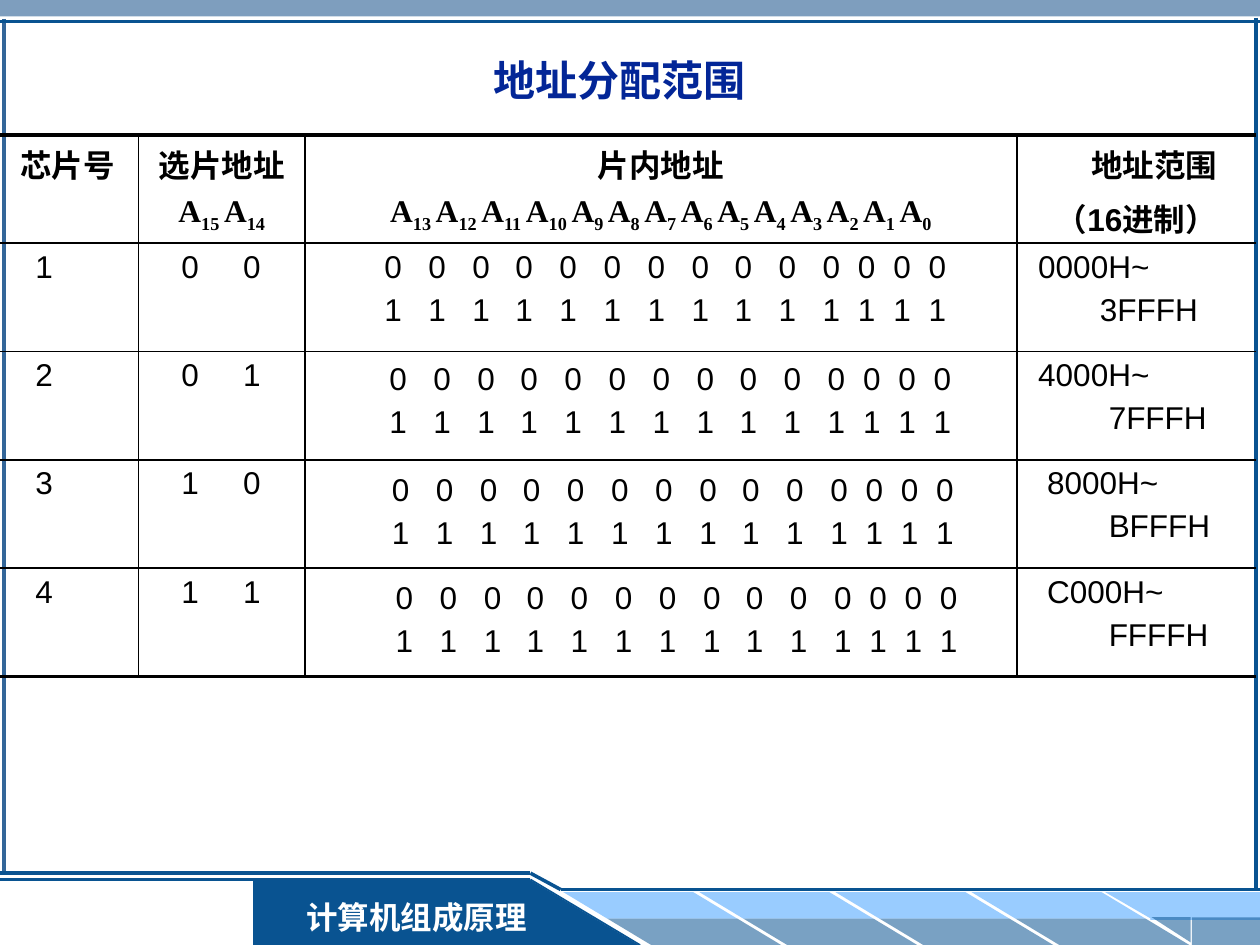
from lxml import etree
from pptx import Presentation
from pptx.dml.color import RGBColor
from pptx.enum.shapes import MSO_CONNECTOR, MSO_SHAPE
from pptx.enum.text import MSO_ANCHOR, PP_ALIGN
from pptx.oxml.ns import qn
from pptx.util import Inches, Pt

RECT, SLANT, CORNER = MSO_SHAPE.RECTANGLE, MSO_SHAPE.PARALLELOGRAM, MSO_SHAPE.RIGHT_TRIANGLE
STRAIGHT = MSO_CONNECTOR.STRAIGHT
LEFT, CENTER = PP_ALIGN.LEFT, PP_ALIGN.CENTER
MIDDLE = MSO_ANCHOR.MIDDLE
NAVY, STEEL, SKY, BLACK, WHITE = "095391", "336699", "99CCFF", "000000", "FFFFFF"
SERIF, SANS = "Times New Roman", "Arial"
SPACE = 0.07
COLUMN_WIDTHS = (1.13, 1.32, 5.65, 1.9)
ROW_HEIGHT = 0.86
SELECT_TABS = (0.49,)
BIT_TABS = [round(0.348 * min(i, 10) + 0.28 * max(i - 10, 0), 2) for i in range(1, 14)]
CHIPS = (
    ("1", "00", ("0000H~", 1), ("3FFFH", 8), 0.63, 0),
    ("2", "01", ("4000H~", 1), ("7FFFH", 9), 0.67, 0.03),
    ("3", "10", ("8000H~", 2), ("BFFFH", 9), 0.69, 0.05),
    ("4", "11", ("C000H~", 2), ("FFFFH", 9), 0.72, 0.05),
)


def color(hex_string):
    """Return the colour for a hex string."""
    return RGBColor.from_string(hex_string)


def add_block(slide, preset, left, top, width, height, fill, alpha=100, flips=()):
    """Add a filled, unlined shape, optionally translucent or mirrored."""
    block = slide.shapes.add_shape(preset, Inches(left), Inches(top), Inches(width), Inches(height))
    block.shadow.inherit = False
    block.line.fill.background()
    block.fill.solid()
    block.fill.fore_color.rgb = color(fill)
    if alpha < 100:
        tint = block.element.spPr.find(qn("a:solidFill"))[0]
        etree.SubElement(tint, qn("a:alpha"), val=str(alpha * 1000))
    for flip in flips:
        block.element.spPr.find(qn("a:xfrm")).set(flip, "1")
    return block


def add_rule(slide, x1, y1, x2, y2, hex_color, weight):
    """Add a straight line without a shadow."""
    rule = slide.shapes.add_connector(STRAIGHT, Inches(x1), Inches(y1), Inches(x2), Inches(y2))
    rule.line.color.rgb = color(hex_color)
    rule.line.width = Pt(weight)
    etree.SubElement(rule.element.spPr, qn("a:effectLst"))


def add_run(paragraph, text, size, font, hex_color=BLACK, bold=False, baseline=0):
    """Add one formatted run to a paragraph."""
    run = paragraph.add_run()
    run.text = text
    run.font.size, run.font.name, run.font.bold = Pt(size), font, bold
    run.font.color.rgb = color(hex_color)
    if baseline:
        run.font._element.set("baseline", str(baseline * 1000))


def add_label(slide, left, top, width, height, text, size, font, hex_color):
    """Add a centred bold text box."""
    box = slide.shapes.add_textbox(Inches(left), Inches(top), Inches(width), Inches(height))
    frame = box.text_frame
    frame.word_wrap, frame.vertical_anchor = True, MIDDLE
    frame.paragraphs[0].alignment = CENTER
    add_run(frame.paragraphs[0], text, size, font, hex_color, True)


def add_frame(slide, left, top, width, height):
    """Draw the top band and the border lines of the page."""
    right = left + width
    add_block(slide, RECT, left, top, width, 0.13, STEEL, 63)
    add_rule(slide, left + 0.03, top + 0.15, left + 0.03, top + height - 0.57, STEEL, 2)
    add_rule(slide, left, top + 0.17, right, top + 0.17, NAVY, 2)
    add_rule(slide, right - 0.03, top + 0.14, right - 0.03, top + height - 0.43, NAVY, 2)


def add_footer(slide, left, top, width, height):
    """Draw the course tab and the slanted tiles beside it."""
    right, bottom = left + width, top + height
    tab_top, tile_top, tile_middle = top + 0.05, top + 0.15, top + 0.36
    add_block(slide, RECT, left + 2.01, tab_top, 2.2, 0.52, NAVY)
    add_block(slide, CORNER, left + 4.2, tab_top, 0.87, 0.52, NAVY)
    for i in range(4):
        x = left + 4.47 + 1.08 * i
        for tile_left, y, fill, alpha in ((x, tile_top, SKY, 100), (x + 0.35, tile_middle, NAVY, 54)):
            tile = add_block(slide, SLANT, tile_left, y, 1.38, 0.21, fill, alpha, ["flipH"])
            tile.adjustments[0] = 1.66
    both = ("flipH", "flipV")
    add_block(slide, RECT, right - 0.87, tile_top, 0.87, 0.22, SKY)
    add_block(slide, CORNER, right - 1.23, tile_top, 0.38, 0.22, SKY, 100, both)
    add_block(slide, RECT, right - 0.54, top + 0.35, 0.54, 0.22, NAVY, 54)
    add_block(slide, CORNER, right - 0.86, top + 0.35, 0.31, 0.2, NAVY, 54, both)
    add_rule(slide, left + 5.08, bottom, left + 4.21, tab_top, NAVY, 1)
    add_rule(slide, left + 4.21, tab_top, left, tab_top, NAVY, 1.5)
    add_rule(slide, left, top, left + 4.21, top, NAVY, 2)
    add_rule(slide, left + 4.21, top, left + 4.45, top + 0.13, NAVY, 2)
    add_rule(slide, left + 4.45, top + 0.13, right, top + 0.13, NAVY, 2)
    add_label(slide, left + 2.28, tile_top, 2.05, 0.4, "计算机组成原理", 18, SERIF, WHITE)


def set_borders(cell, weights):
    """Give a cell black borders of the stated weights, zero meaning none."""
    properties = cell._tc.get_or_add_tcPr()
    for i, (side, weight) in enumerate(zip(("lnL", "lnR", "lnT", "lnB"), weights)):
        border = etree.Element(qn("a:" + side), w=str(Pt(weight)))
        if weight:
            fill = etree.SubElement(border, qn("a:solidFill"))
            etree.SubElement(fill, qn("a:srgbClr"), val=BLACK)
        else:
            etree.SubElement(border, qn("a:noFill"))
        properties.insert(i, border)


def fill_cell(cell, lines, align=LEFT, font=SANS, bold=False, margin=0.1, drop=0, tabs=()):
    """Write lines of (runs, indent) into a cell, each run being (text, baseline)."""
    cell.margin_left, cell.margin_right = Inches(margin), Inches(0.1)
    cell.margin_top, cell.margin_bottom = Inches(0.05 + drop), 0
    for i, (runs, indent) in enumerate(lines):
        paragraph = cell.text_frame.paragraphs[0] if i == 0 else cell.text_frame.add_paragraph()
        paragraph.alignment, paragraph.space_before = align, Pt(4.5)
        properties = paragraph._p.get_or_add_pPr()
        properties.set("marL", str(Inches(indent)))
        if tabs:
            stops = etree.SubElement(properties, qn("a:tabLst"))
            for stop in tabs:
                etree.SubElement(stops, qn("a:tab"), pos=str(Inches(stop)), algn="l")
        for text, baseline in runs:
            add_run(paragraph, text, 18, font, bold=bold, baseline=baseline)


def plain(text, indent=0):
    """Return a line made of one run."""
    return [(text, 0)], indent


def address_lines(high, low):
    """Return the subscripted names of address lines from high down to low."""
    runs = []
    for number in range(high, low - 1, -1):
        runs += [("A", 0), (f"{number} " if number > low else str(number), -25)]
    return runs, 0


def add_address_table(slide, left, top):
    """Build the table of chips, address bits and address ranges."""
    rows, columns = len(CHIPS) + 1, len(COLUMN_WIDTHS)
    table_shape = slide.shapes.add_table(rows, columns, Inches(left), Inches(top),
                                         Inches(sum(COLUMN_WIDTHS)), Inches(rows * ROW_HEIGHT))
    table = table_shape.table
    table.first_row = table.horz_banding = False
    for column, width in zip(table.columns, COLUMN_WIDTHS):
        column.width = Inches(width)
    for r, row in enumerate(table.rows):
        row.height = Inches(ROW_HEIGHT)
        for c, cell in enumerate(row.cells):
            cell.fill.background()
            set_borders(cell, (int(c > 0), int(c < columns - 1),
                               2.25 if r == 0 else 1, 2.25 if r == rows - 1 else 1))
    headings = (
        ([plain("芯片号")], SANS),
        ([plain("选片地址"), address_lines(15, 14)], SERIF),
        ([plain("片内地址"), address_lines(13, 0)], SERIF),
        ([plain("地址范围", 4 * SPACE), plain("（16进制）")], SANS),
    )
    for c, (lines, font) in enumerate(headings):
        fill_cell(table.cell(0, c), lines, CENTER, font, True)
    for r, (chip, select, first, last, margin, drop) in enumerate(CHIPS, 1):
        fill_cell(table.cell(r, 0), [plain(chip, 3 * SPACE)])
        fill_cell(table.cell(r, 1), [plain("\t".join(select))], margin=0.34, tabs=SELECT_TABS)
        bits = [plain("\t".join(bit * 14)) for bit in "01"]
        fill_cell(table.cell(r, 2), bits, margin=margin, drop=drop, tabs=BIT_TABS)
        fill_cell(table.cell(r, 3), [plain(text, n * SPACE) for text, n in (first, last)])


def main():
    """Build and save the slide."""
    deck = Presentation()
    deck.slide_width, deck.slide_height = Inches(10), Inches(7.5)
    slide = deck.slides.add_slide(deck.slide_layouts[6])
    add_frame(slide, 0, 0, 10, 7.5)
    add_footer(slide, 0, 6.93, 10, 0.57)
    add_label(slide, 0.67, 0.28, 8.5, 0.71, "地址分配范围", 24, SANS, "032697")
    add_address_table(slide, -0.03, 1.07)
    deck.save("out.pptx")


if __name__ == "__main__":
    main()
